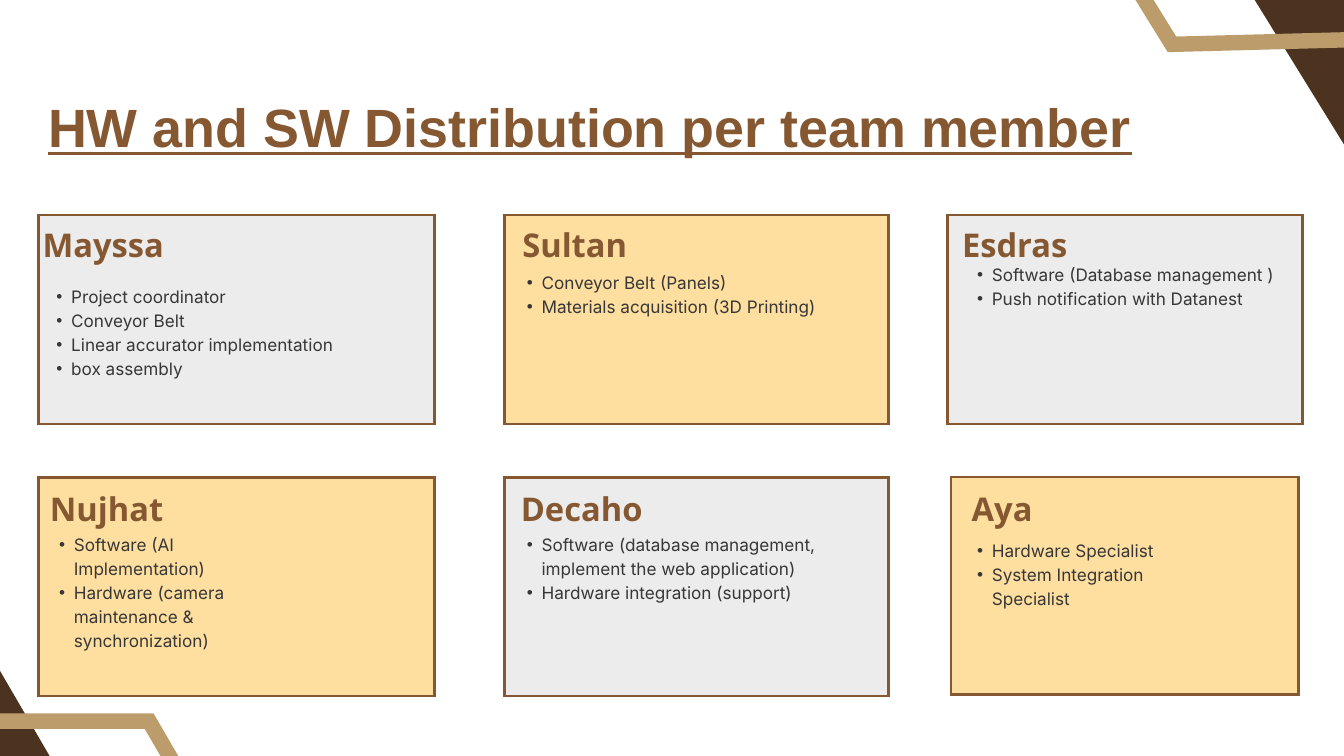
"""Build the slide that shares hardware and software work among the team."""
from dataclasses import dataclass

from lxml.etree import SubElement as Sub
from pptx import Presentation as Deck
from pptx.dml.color import RGBColor as Rgb
from pptx.enum.shapes import MSO_SHAPE as Kind
from pptx.enum.text import MSO_AUTO_SIZE as Fit, PP_ALIGN as Align
from pptx.oxml.ns import qn
from pptx.util import Pt


@dataclass(frozen=True)
class Theme:
    """Hold the colours and text formats."""
    brown: Rgb = Rgb.from_string("855832")
    dark: Rgb = Rgb.from_string("4B331F")
    tan: Rgb = Rgb.from_string("BD9C6C")
    gray: Rgb = Rgb.from_string("EDECED")
    gold: Rgb = Rgb.from_string("FFDFA0")
    ink: Rgb = Rgb.from_string("373737")
    edge: float = 3
    band: float = 16.5

    def title(self):
        """Give the title format."""
        return dict(name="Arial", size=Pt(57.7), bold=True, underline=True), self.brown, 80.8

    def head(self):
        """Give the member name format."""
        return dict(name="Open Sans", size=Pt(35), bold=True), self.brown, 49

    def body(self):
        """Give the task list format."""
        return dict(name="Inter", size=Pt(18.4)), self.ink, 25.8


LOOK = Theme()
ROWS = (230.4, 511.2)
HEADS = (234, 517)

CARDS = [
    ("Mayssa ", LOOK.gray, 0, 41.2, 424.4, 224, -42, (44.6, 303, 418, 102),
     ["Project coordinator", "Conveyor Belt", "Linear accurator implementation", "box assembly"]),
    ("Sultan", LOOK.gold, 0, 540.7, 411, 224, 458.6, (548.6, 288, 420, 76),
     ["Conveyor Belt (Panels)", "Materials acquisition (3D Printing)"]),
    ("Esdras", LOOK.gray, 0, 1015.4, 380, 224, 930, (1031, 279.4, 382, 76),
     ["Software (Database management )", "Push notification with Datanest"]),
    ("Nujhat", LOOK.gold, 1, 41.2, 424.4, 234.5, -43, (47.5, 569, 224, 127),
     ["Software (AI Implementation)", "Hardware (camera maintenance & synchronization)"]),
    ("Decaho", LOOK.gray, 1, 540.7, 411, 234.5, 466, (548.6, 569, 382, 76),
     ["Software (database management, implement the web application)",
      "Hardware integration (support)"]),
    ("Aya", LOOK.gold, 1, 1019, 372.5, 232.6, 916.5, (1031, 575.3, 224, 102),
     ["Hardware Specialist", "System Integration Specialist"]),
]

DECOR = [
    ((-29.5, 668.2), (-121.7, 0), (121.7, 208.8), LOOK.dark, True),
    ((159.8, 772.6), (-308.1, 0), (150.5, 259.2), LOOK.tan, False),
    ((1443.6, 160.6), (150.5, -3.8), (-157.7, -255.2), LOOK.dark, True),
    ((1255.7, 47.5), (308.1, -8), (-157.7, -255), LOOK.tan, False),
]


def paint(shape, fill, line, width):
    """Set fill and sharp-cornered line; None leaves either one out."""
    shape.shadow.inherit = False
    for part, tone in ((shape.fill, fill), (shape.line.fill, line)):
        if tone is None:
            part.background()
        else:
            part.solid()
            part.fore_color.rgb = tone
    if line is not None:
        shape.line.width = Pt(width)
        Sub(shape._element.spPr.find(qn("a:ln")), qn("a:miter"), lim="800000")


def bullet(para):
    """Give a paragraph a hanging bullet."""
    para.level = 1
    props = para._p.get_or_add_pPr()
    props.set("marL", str(Pt(31.7)))
    props.set("indent", str(-Pt(15.85)))
    Sub(props, qn("a:buFont"), typeface="Arial")
    Sub(props, qn("a:buChar"), char="•")


def write(slide, box, lines, style, marks=False):
    """Add a text box, centred or bulleted."""
    font, tone, lead = style
    frame = slide.shapes.add_textbox(*map(Pt, box)).text_frame
    form = dict(margin_left=0, margin_right=0, margin_top=0, margin_bottom=0,
                word_wrap=True, auto_size=Fit.SHAPE_TO_FIT_TEXT)
    for key, value in form.items():
        setattr(frame, key, value)
    frame.text = "\n".join(lines)
    for para in frame.paragraphs:
        if marks:
            bullet(para)
        else:
            para.alignment = Align.CENTER
        para.line_spacing = Pt(lead)
        for run in para.runs:
            for key, value in font.items():
                setattr(run.font, key, value)
            run.font.color.rgb = tone


def card(slide, name, fill, row, left, width, high, start, box, tasks):
    """Add a member's panel with name and tasks."""
    place = map(Pt, (left, ROWS[row], width, high))
    panel = slide.shapes.add_shape(Kind.RECTANGLE, *place)
    paint(panel, fill, LOOK.brown, LOOK.edge)
    write(slide, (start, HEADS[row], 314.6, 46), [name], LOOK.head())
    write(slide, box, tasks, LOOK.body(), marks=True)


def slant(slide, corner, side, slope, tone, solid):
    """Add a slanted corner shape, filled or outlined."""
    (x, y), (a, b), (c, d) = corner, side, slope
    ends = [(x + a, y + b), (x + a + c, y + b + d), (x + c, y + d)]
    path = slide.shapes.build_freeform(Pt(x), Pt(y))
    path.add_line_segments([(Pt(u), Pt(v)) for u, v in ends], close=True)
    shape = path.convert_to_shape()
    paint(shape, tone if solid else None, None if solid else tone, LOOK.band)


def main():
    """Build and save the slide."""
    deck = Deck()
    deck.slide_width, deck.slide_height = Pt(1440), Pt(810)
    slide = deck.slides.add_slide(deck.slide_layouts[6])
    for item in CARDS:
        card(slide, *item)
    for item in DECOR:
        slant(slide, *item)
    write(slide, (10, 88.6, 1244, 86.4),
          ["HW and SW Distribution per team member"], LOOK.title())
    deck.save("out.pptx")


if __name__ == "__main__":
    main()
